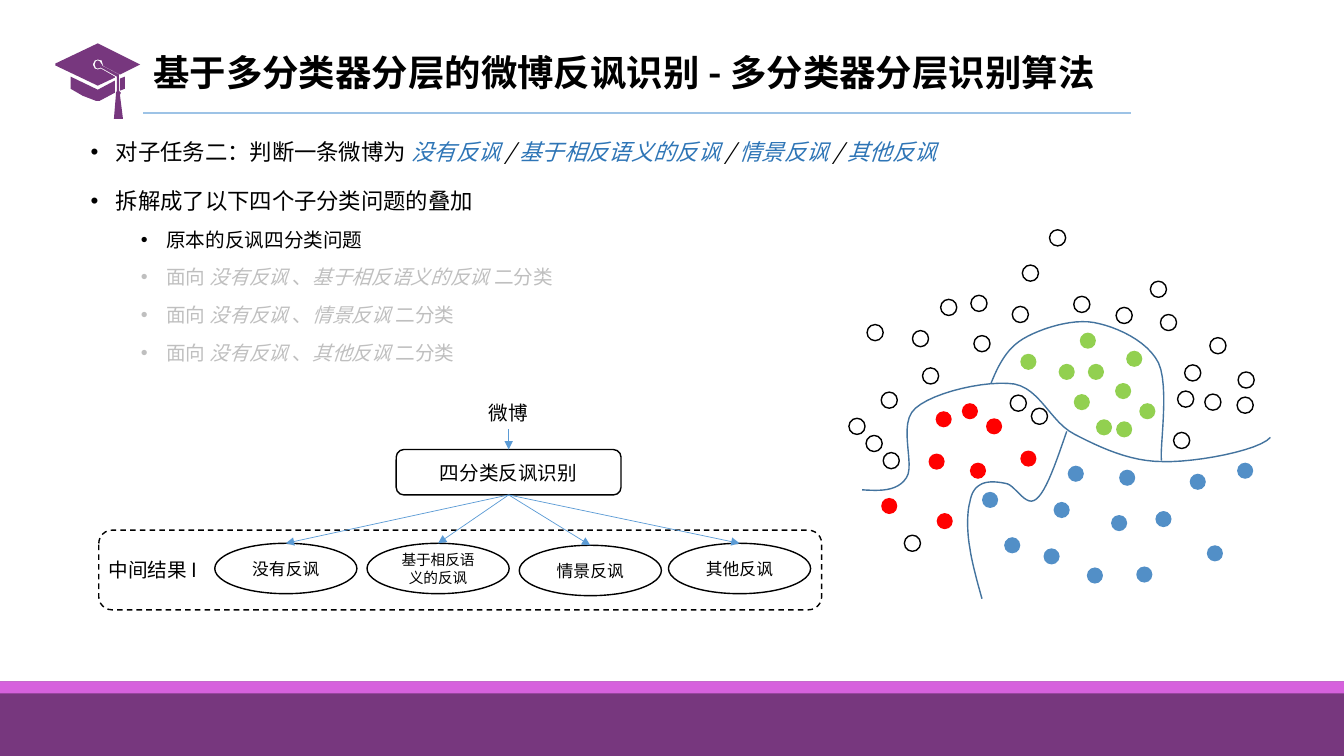
from lxml import etree
from pptx import Presentation
from pptx import util as u
from pptx.dml.color import RGBColor
from pptx.enum import dml, shapes, text
from pptx.oxml import ns

BLACK = RGBColor(0, 0, 0)
GRAY = RGBColor(0xBF, 0xBF, 0xBF)
PURPLE = RGBColor(0x77, 0x37, 0x7E)
PINK = RGBColor(0xD6, 0x61, 0xDD)
TERM_BLUE = RGBColor(0x2E, 0x75, 0xB6)
RULE_BLUE = RGBColor(0x9D, 0xC3, 0xE6)
ARROW_BLUE = RGBColor(0x5B, 0x9B, 0xD5)
BORDER_BLUE = RGBColor(0x43, 0x73, 0x9E)
DOT_BLUE = RGBColor(0x52, 0x8F, 0xC7)
RED = RGBColor(0xFF, 0, 0)
GREEN = RGBColor(0x92, 0xD0, 0x50)

FONT = "Noto Sans CJK SC"
COLUMNS, ROWS = 13.33, 7.5  # grid cells are one inch square
DOT = 0.16
LEFT, CENTER = text.PP_ALIGN.LEFT, text.PP_ALIGN.CENTER
KIND = shapes.MSO_SHAPE


def cells(*counts):
    return [u.Inches(count) for count in counts]


def add_xml(parent, tag, **attributes):
    return etree.SubElement(parent, ns.qn(tag), attributes)


def bezier(start, curves, steps=12):
    """Points along joined cubic curves, each given as x1, y1, x2, y2, x, y."""
    points = [start]
    for x1, y1, x2, y2, x3, y3 in curves:
        x0, y0 = points[-1]
        for step in range(1, steps + 1):
            t = step / steps
            s = 1 - t
            weights = s ** 3, 3 * s * s * t, 3 * s * t * t, t ** 3
            points.append((sum(w * x for w, x in zip(weights, (x0, x1, x2, x3))),
                           sum(w * y for w, y in zip(weights, (y0, y1, y2, y3)))))
    return points


class Canvas:
    """Holds the slide and its style; positions are columns and rows."""

    def __init__(self, page):
        self.page = page
        self.shapes = page.shapes

    def style(self, shape, fill=None, line=None, width=1, dash=False):
        shape.shadow.inherit = False
        if fill is None:
            shape.fill.background()
        else:
            shape.fill.solid()
            shape.fill.fore_color.rgb = fill
        if line is None:
            shape.line.fill.background()
        else:
            shape.line.color.rgb = line
            shape.line.width = u.Pt(width)
            if dash:
                shape.line.dash_style = dml.MSO_LINE.DASH
        return shape

    def shape(self, kind, place, **style):
        return self.style(self.shapes.add_shape(kind, *cells(*place)), **style)

    def format_span(self, span, size, color=BLACK, italic=False, bold=False):
        span.font.size, span.font.name = u.Pt(size), FONT
        span.font.color.rgb = color
        span.font.italic, span.font.bold = italic, bold
        add_xml(span.font._element, "a:ea", typeface=FONT)

    def set_words(self, box, words, size, align=LEFT, bold=False):
        box.text_frame.text = words
        para = box.text_frame.paragraphs[0]
        para.alignment = align
        self.format_span(para.runs[0], size, bold=bold)
        return box

    def title(self, words, place):
        box = self.shapes.title
        box.left, box.top, box.width, box.height = cells(*place)
        self.set_words(box, words, 26, bold=True)
        box.text_frame.auto_size = text.MSO_AUTO_SIZE.NONE
        box.text_frame.vertical_anchor = text.MSO_ANCHOR.MIDDLE
        box.text_frame.paragraphs[0].line_spacing = 0.9

    def label(self, words, place, size, wrap=True):
        box = self.shapes.add_textbox(*cells(*place))
        box.text_frame.word_wrap = wrap
        return self.set_words(box, words, size)

    def node(self, kind, words, place, size):
        box = self.shape(kind, place, line=BLACK)
        box.text_frame.vertical_anchor = text.MSO_ANCHOR.MIDDLE
        return self.set_words(box, words, size, CENTER)

    def bullets(self, place, items):
        """Each item is a level and its spans: words, colour, italic."""
        frame = self.shapes.add_textbox(*cells(*place)).text_frame
        frame.word_wrap = True
        for number, (level, spans) in enumerate(items):
            para = frame.add_paragraph() if number else frame.paragraphs[0]
            para.level, para.line_spacing = level, 1.3
            para.space_before = u.Pt(5 if level else 10)
            properties = para._p.get_or_add_pPr()
            properties.set("marL", str(u.Inches(0.75 if level else 0.25)))
            properties.set("indent", str(u.Inches(-0.25)))
            add_xml(properties, "a:buFont", typeface="Arial")
            add_xml(properties, "a:buChar", char="•")
            for words, color, italic in spans:
                span = para.add_run()
                span.text = words
                self.format_span(span, 14 if level else 16, color, italic)

    def line(self, start, end, color, width):
        link = self.shapes.add_connector(shapes.MSO_CONNECTOR.STRAIGHT, *cells(*start, *end))
        link.line.color.rgb, link.line.width = color, u.Pt(width)
        add_xml(link._element.spPr, "a:effectLst")
        return link

    def arrow(self, source, target):
        link = self.line((0, 0), (1, 1), ARROW_BLUE, 0.5)
        link.begin_connect(source, 2)
        link.end_connect(target, 0)
        add_xml(link._element.spPr.find(ns.qn("a:ln")), "a:tailEnd", type="triangle")

    def outline(self, contours, closed, **style):
        first, *others = contours
        builder = self.shapes.build_freeform(*cells(*first[0]))
        builder.add_line_segments([cells(*point) for point in first[1:]], close=closed)
        for contour in others:
            builder.move_to(*cells(*contour[0]))
            builder.add_line_segments([cells(*point) for point in contour[1:]], close=closed)
        return self.style(builder.convert_to_shape(), **style)

    def dots(self, corners, **style):
        for left, top in corners:
            self.shape(KIND.OVAL, (left, top, DOT, DOT), **style)


CAP = [
    [(1.19, 0.9), (1.24, 0.88), (1.24, 0.76), (1.19, 0.78)],
    [(0.7, 0.76), (0.7, 0.88), (0.82, 0.95), (0.95, 1), (0.99, 1), (1.14, 0.92), (1.14, 0.8),
     (0.97, 0.89)],
    [(1.18, 0.75), (1.18, 0.74), (1.01, 0.65), (1.01, 0.64), (0.99, 0.61), (0.97, 0.6),
     (0.95, 0.61), (0.94, 0.64), (0.95, 0.67), (0.97, 0.68), (1, 0.67), (1.16, 0.76)],
    [(1.39, 0.64), (0.97, 0.43), (0.55, 0.63), (0.55, 0.65), (0.97, 0.85), (1.14, 0.77),
     (1.14, 0.76), (1, 0.68), (0.97, 0.69), (0.94, 0.68), (0.92, 0.64), (0.94, 0.6),
     (0.97, 0.59), (1.01, 0.6), (1.02, 0.64), (1.02, 0.65), (1.19, 0.74)],
    [(1.18, 0.75), (1.18, 0.9), (1.2, 0.92), (1.19, 0.94), (1.22, 1.18), (1.13, 1.18),
     (1.15, 0.94), (1.15, 0.92), (1.16, 0.9), (1.16, 0.76)],
]
RED_DOTS = [(9.28, 4.08), (8.74, 4.94), (9.54, 4), (9.21, 4.5), (9.62, 4.59), (9.78, 4.15),
            (10.12, 4.47), (9.29, 5.09)]
GREEN_DOTS = [(10.12, 3.51), (10.5, 3.61), (10.65, 3.91), (10.79, 3.61), (10.87, 4.16),
              (11.06, 3.8), (11.07, 4.18), (10.71, 3.3), (11.17, 3.48), (11.3, 4)]
BLUE_DOTS = [(9.74, 4.88), (10.45, 4.98), (10.78, 5.63), (11.46, 5.07), (11.1, 4.66),
             (10.35, 5.44), (9.96, 5.33), (10.59, 4.62), (11.27, 5.62), (12.27, 4.59),
             (11.97, 5.41), (11.8, 4.7), (11.02, 5.11)]
HOLLOW_DOTS = [(8.42, 4.15), (9.05, 3.28), (8.74, 3.89), (8.59, 4.32), (9.15, 3.65),
               (9.66, 3.33), (8.97, 5.31), (10.04, 3.04), (8.76, 4.49), (10.02, 3.92),
               (10.23, 4.05), (10.65, 2.94), (11.07, 3.05), (9.33, 2.97), (8.6, 3.22),
               (9.63, 2.93), (10.41, 2.28), (11.64, 4.29), (11.68, 3.88), (11.51, 3.12),
               (11.41, 2.79), (12, 3.35), (11.95, 3.91), (12.28, 3.69), (11.75, 3.62),
               (12.27, 3.94), (10.14, 2.63)]
BORDERS = [
    ((8.55, 4.86), [(8.72, 4.87, 8.9, 4.88, 8.99, 4.74), (9.08, 4.61, 8.9, 4.2, 9.08, 4.05),
                    (9.26, 3.89, 9.79, 3.77, 10.06, 3.81), (10.32, 3.86, 10.42, 4.19, 10.66, 4.31),
                    (10.91, 4.44, 11.21, 4.58, 11.53, 4.58), (11.86, 4.59, 12.49, 4.47, 12.6, 4.34)]),
    ((10.58, 4.28), [(10.48, 4.57, 10.38, 4.87, 10.28, 4.95), (10.18, 5.04, 10.08, 4.83, 9.99, 4.8),
                     (9.9, 4.78, 9.81, 4.77, 9.74, 4.8), (9.68, 4.83, 9.64, 4.87, 9.62, 4.98),
                     (9.59, 5.08, 9.59, 5.28, 9.62, 5.44), (9.64, 5.6, 9.74, 5.94, 9.74, 5.94)]),
    ((9.83, 3.8), [(9.9, 3.63, 9.98, 3.46, 10.15, 3.36), (10.32, 3.26, 10.63, 3.16, 10.85, 3.2),
                   (11.07, 3.24, 11.38, 3.38, 11.49, 3.6), (11.6, 3.83, 11.5, 4.45, 11.52, 4.57)]),
]
CLASSES = ["没有反讽", "基于相反语义的反讽", "情景反讽", "其他反讽"]


def main():
    deck = Presentation()
    deck.slide_width, deck.slide_height = cells(COLUMNS, ROWS)
    canvas = Canvas(deck.slides.add_slide(deck.slide_layouts[5]))
    canvas.shape(KIND.RECTANGLE, (0, 6.76, COLUMNS, 0.74), fill=PURPLE)
    canvas.shape(KIND.RECTANGLE, (0, 6.76, COLUMNS, 0.12), fill=PINK)
    canvas.title("基于多分类器分层的微博反讽识别 - 多分类器分层识别算法", (1.42, 0.37, 10.85, 0.75))
    canvas.outline(CAP, True, fill=PURPLE)
    canvas.line((1.42, 1.12), (11.22, 1.12), RULE_BLUE, 1.5)

    task = [("对子任务二：判断一条微博为 ", BLACK, False)]
    for name in CLASSES[:-1]:
        task += [(name + " ", TERM_BLUE, True), ("/ ", BLACK, True)]
    task.append((CLASSES[-1], TERM_BLUE, True))
    items = [(0, task), (0, [("拆解成了以下四个子分类问题的叠加", BLACK, False)]),
             (1, [("原本的反讽四分类问题", BLACK, False)])]
    for name in CLASSES[1:]:
        items.append((1, [("面向 ", GRAY, False), (CLASSES[0], GRAY, True), (" 、", GRAY, False),
                          (name + " ", GRAY, True), ("二分类", GRAY, False)]))
    canvas.bullets((0.8, 1.24, 11.15, 5.35), items)

    post = canvas.label("微博", (4.75, 3.93, 0.59, 0.33), 14, wrap=False)
    classifier = canvas.node(KIND.ROUNDED_RECTANGLE, "四分类反讽识别", (3.93, 4.46, 2.23, 0.45), 14)
    canvas.shape(KIND.ROUNDED_RECTANGLE, (0.98, 5.26, 7.17, 0.79), line=BLACK, dash=True)
    canvas.label("中间结果 I", (0.98, 5.49, 1.09, 0.28), 14)
    canvas.arrow(post, classifier)
    for name, left, top in zip(CLASSES, (2.13, 3.64, 5.15, 6.63), (5.39, 5.39, 5.41, 5.39)):
        size = 10.5 if len(name) > 4 else 12
        canvas.arrow(classifier, canvas.node(KIND.OVAL, name, (left, top, 1.41, 0.5), size))

    for corners, color in ((RED_DOTS, RED), (GREEN_DOTS, GREEN), (BLUE_DOTS, DOT_BLUE)):
        canvas.dots(corners, fill=color)
    canvas.dots(HOLLOW_DOTS, line=BLACK)
    for start, curves in BORDERS:
        canvas.outline([bezier(start, curves)], False, line=BORDER_BLUE)
    deck.save("out.pptx")


if __name__ == "__main__":
    main()
